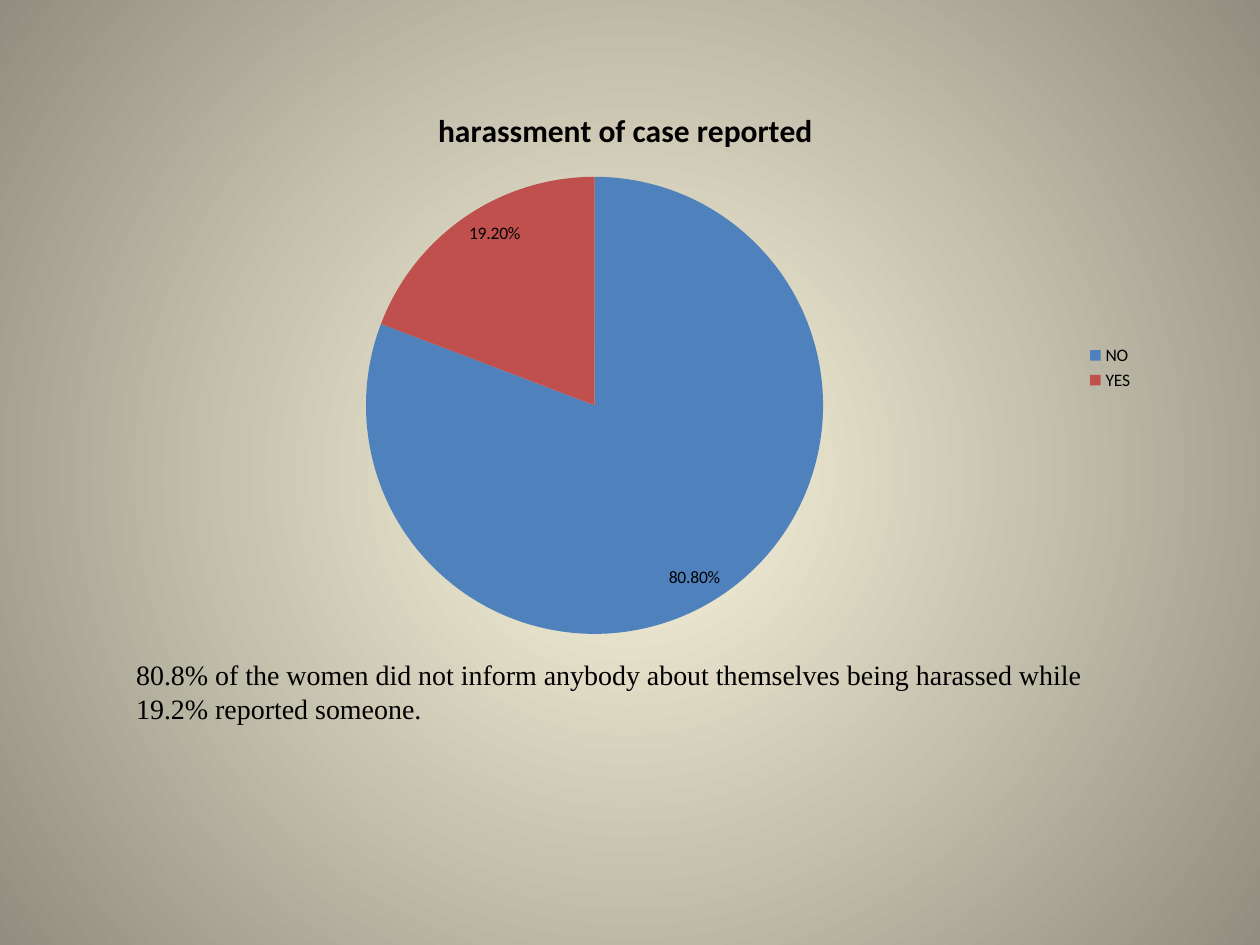
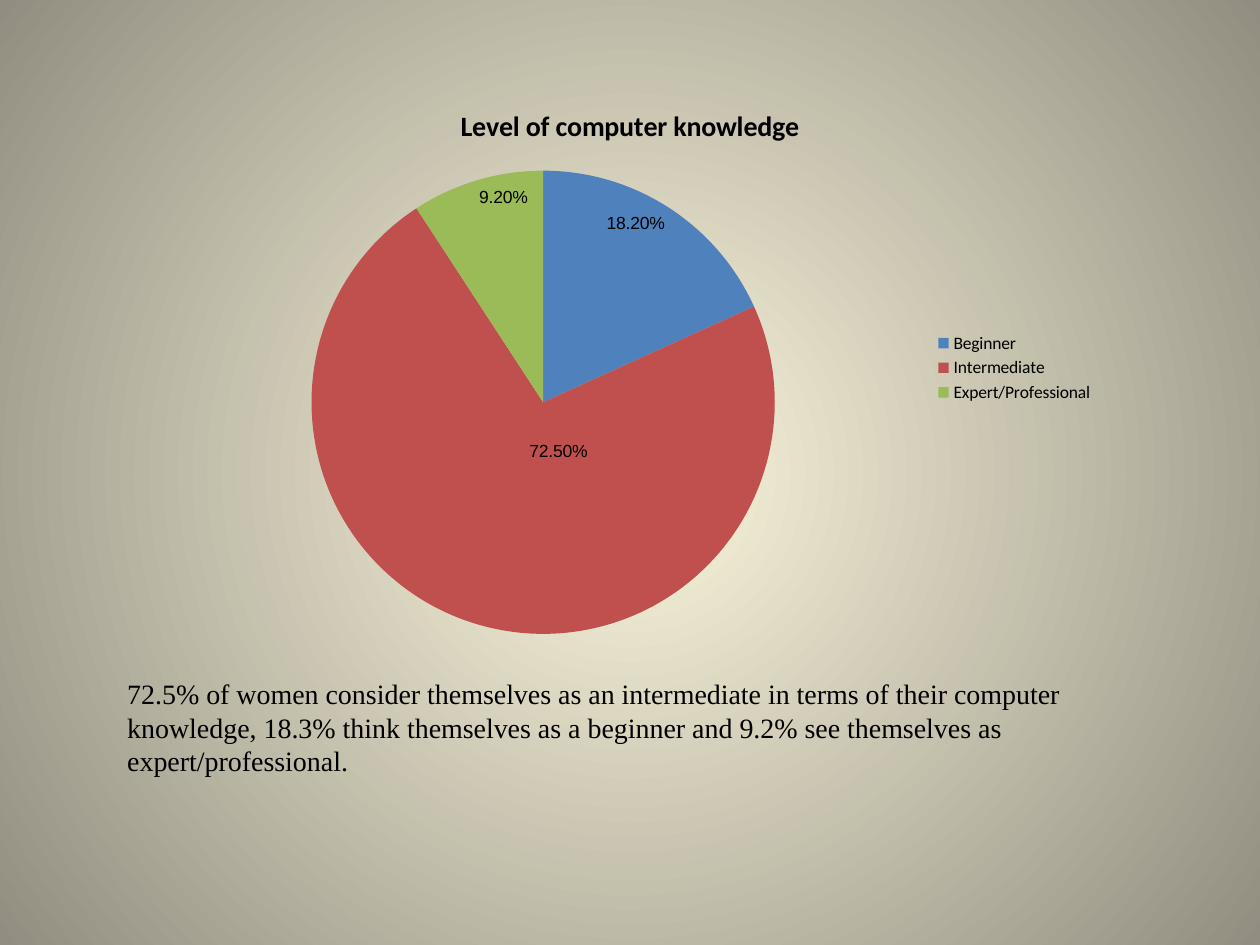
from dataclasses import dataclass

from lxml import etree
from pptx import Presentation
from pptx.chart.data import CategoryChartData
from pptx.dml.color import RGBColor
from pptx.enum import chart as c
from pptx.enum import text as t
from pptx.oxml import parse_xml
from pptx.oxml.ns import nsdecls, qn
from pptx.util import Cm, Pt


@dataclass(frozen=True)
class Theme:
    text: str = "000000"
    centre: str = "FCF7DD"
    edge: str = "918E81"
    slices: tuple = ("4F81BD", "C0504D", "9BBB59")
    chart_font: str = "Calibri"
    body_font: str = "Times New Roman"
    body_size: int = 16
    chart_size: int = 10


THEME = Theme()


def style_font(font, name, size, bold=False):
    font.name = name
    font.size = Pt(size)
    font.bold = bold
    font.color.rgb = RGBColor.from_string(THEME.text)


def set_background(master):
    """Give every slide a circular gradient through the master."""
    common = master.element.cSld
    for old in common.findall(qn("p:bg")):
        common.remove(old)
    stops = "".join(
        f'<a:gs pos="{position}"><a:srgbClr val="{colour}"/></a:gs>'
        for position, colour in ((0, THEME.centre), (100000, THEME.edge)))
    common.insert(0, parse_xml(
        f'<p:bg {nsdecls("p", "a")}><p:bgPr><a:gradFill rotWithShape="1">'
        f'<a:gsLst>{stops}</a:gsLst><a:path path="circle">'
        '<a:fillToRect l="50000" t="50000" r="50000" b="50000"/></a:path>'
        '</a:gradFill><a:effectLst/></p:bgPr></p:bg>'))


def add_slide(presentation):
    slide = presentation.slides.add_slide(presentation.slide_layouts[1])
    title = slide.shapes.title.element
    title.getparent().remove(title)
    return slide


def add_finding(slide, box, words):
    """Fill the body placeholder with one unbulleted paragraph."""
    body = slide.placeholders[1]
    body.left, body.top, body.width, body.height = map(Cm, box)
    frame = body.text_frame
    frame.text = words
    frame.vertical_anchor = t.MSO_ANCHOR.TOP
    paragraph = frame.paragraphs[0]
    properties = paragraph._p.get_or_add_pPr()
    properties.set("marL", "0")
    properties.set("indent", "0")
    etree.SubElement(properties, qn("a:buNone"))
    paragraph.space_before = Pt(0)
    style_font(paragraph.runs[0].font, THEME.body_font, THEME.body_size)


def add_pie(slide, box, title, title_size, shares, label_font):
    data = CategoryChartData(number_format="0.00%")
    data.categories = list(shares)
    data.add_series("Series 1", list(shares.values()))
    chart = slide.shapes.add_chart(
        c.XL_CHART_TYPE.PIE, *map(Cm, box), data).chart
    style_font(chart.font, THEME.chart_font, THEME.chart_size)

    chart.has_title = True
    chart.chart_title.include_in_layout = False
    frame = chart.chart_title.text_frame
    frame.text = title
    style_font(frame.paragraphs[0].runs[0].font,
               THEME.chart_font, title_size, bold=True)

    chart.has_legend = True
    chart.legend.position = c.XL_LEGEND_POSITION.RIGHT
    chart.legend.include_in_layout = False

    plot = chart.plots[0]
    plot.vary_by_categories = True
    series = plot.series[0]
    for index, colour in zip(range(len(shares)), THEME.slices):
        fill = series.points[index].format.fill
        fill.solid()
        fill.fore_color.rgb = RGBColor.from_string(colour)

    labels = series.data_labels
    labels.show_value = True
    labels.show_percentage = False
    labels.number_format = "0.00%"
    labels.number_format_is_linked = False
    labels.position = c.XL_LABEL_POSITION.INSIDE_END
    style_font(labels.font, label_font, THEME.chart_size)
    return chart


def shift_label(chart, index, across, down, font_name):
    """Move a slice's label from its centre by fractions of the chart size."""
    series = chart.plots[0].series[0]
    label = series.points[index].data_label
    style_font(label.font, font_name, THEME.chart_size)
    label.position = c.XL_LABEL_POSITION.CENTER
    element = next(item for item in series._element.iter(qn("c:dLbl"))
                   if item.find(qn("c:idx")).get("val") == str(index))
    element.find(qn("c:idx")).addnext(parse_xml(
        f'<c:layout {nsdecls("c")}><c:manualLayout>'
        f'<c:x val="{across}"/><c:y val="{down}"/>'
        '</c:manualLayout></c:layout>'))


def main():
    presentation = Presentation()
    presentation.slide_width, presentation.slide_height = Cm(25.4), Cm(19.05)
    set_background(presentation.slide_master)

    reporting = add_slide(presentation)
    add_finding(reporting, (2.49, 13.13, 20.4, 4.01),
                "80.8% of the women did not inform anybody about themselves "
                "being harassed while 19.2% reported someone.")
    add_pie(reporting, (2.11, 1.7, 21, 11.43),
            "harassment of case reported", 18,
            {"NO": 0.808, "YES": 0.192}, THEME.chart_font)

    knowledge = add_slide(presentation)
    add_finding(knowledge, (2.31, 13.51, 20.2, 3.63),
                "72.5% of women consider themselves as an intermediate in "
                "terms of their computer knowledge, 18.3% think themselves as "
                "a beginner and 9.2% see themselves as expert/professional.")
    label_font = "Arial"
    chart = add_pie(knowledge, (3.1, 1.7, 19.2, 11.43),
                    "Level of computer knowledge", 16,
                    {"Beginner": 0.182, "Intermediate": 0.725,
                     "Expert/Professional": 0.092}, label_font)
    shift_label(chart, 1, 0.05, -0.11, label_font)

    presentation.save("out.pptx")


if __name__ == "__main__":
    main()
